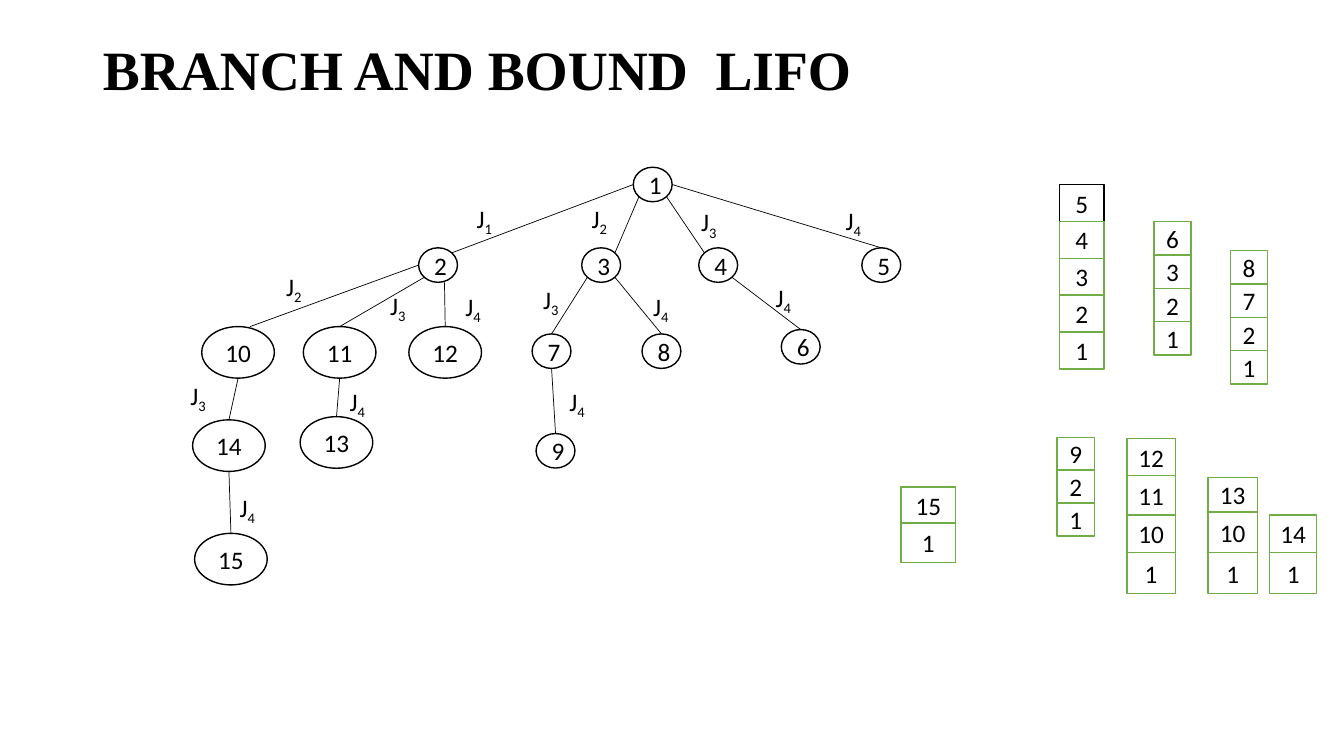
import pptx
import pptx.util
import pptx.dml.color
import pptx.enum.shapes
import pptx.enum.text
import pptx.oxml.ns
from dataclasses import dataclass
from lxml import etree

Cm = pptx.util.Cm
Pt = pptx.util.Pt
Kind = pptx.enum.shapes.MSO_SHAPE
Align = pptx.enum.text.PP_ALIGN


@dataclass
class Theme:
    ink: str = "000000"
    paper: str = "FFFFFF"
    green: str = "70AD47"
    head: str = "Times New Roman"
    body: str = "Calibri"
    title: float = 39.6
    text: float = 18
    edge: float = 1
    link: float = 0.5


class Deck:
    def __init__(self, theme):
        self.theme = theme
        self.prs = pptx.Presentation()
        self.prs.slide_width, self.prs.slide_height = Cm(33.87), Cm(19.05)
        self.slide = self.prs.slides.add_slide(self.prs.slide_layouts[5])
        self.shapes = self.slide.shapes

    def color(self, code):
        return pptx.dml.color.RGBColor.from_string(code)

    def run(self, para, text, size, face, bold=False):
        run = para.add_run()
        run.text = text
        run.font.size, run.font.name, run.font.bold = Pt(size), face, bold
        run.font.color.rgb = self.color(self.theme.ink)
        return run

    def title(self, text, x, y, w, h):
        box = self.shapes.title
        box.left, box.top, box.width, box.height = Cm(x), Cm(y), Cm(w), Cm(h)
        frame = box.text_frame
        frame.auto_size = pptx.enum.text.MSO_AUTO_SIZE.NONE
        frame.vertical_anchor = pptx.enum.text.MSO_ANCHOR.MIDDLE
        para = frame.paragraphs[0]
        para.alignment, para.line_spacing = Align.LEFT, 0.9
        self.run(para, text, self.theme.title, self.theme.head, True)

    def cell(self, kind, text, x, y, w, h, line):
        box = self.shapes.add_shape(kind, Cm(x), Cm(y), Cm(w), Cm(h))
        box.shadow.inherit = False
        box.fill.solid()
        box.fill.fore_color.rgb = self.color(self.theme.paper)
        box.line.color.rgb = self.color(line)
        box.line.width = Pt(self.theme.edge)
        para = box.text_frame.paragraphs[0]
        para.alignment = Align.CENTER
        self.run(para, text, self.theme.text, self.theme.body)

    def link(self, start, end):
        line = self.shapes.add_connector(
            pptx.enum.shapes.MSO_CONNECTOR.STRAIGHT,
            *(Cm(v) for v in start + end))
        line.line.color.rgb = self.color(self.theme.ink)
        line.line.width = Pt(self.theme.link)
        props = line._element.spPr
        etree.SubElement(props, pptx.oxml.ns.qn("a:effectLst"))

    def label(self, job, x, y):
        box = self.shapes.add_textbox(Cm(x), Cm(y), Cm(1.14), Cm(1.02))
        box.text_frame.word_wrap = True
        para = box.text_frame.paragraphs[0]
        self.run(para, "J", self.theme.text, self.theme.body)
        sub = self.run(para, str(job), self.theme.text, self.theme.body)
        sub.font._element.set("baseline", "-25000")


# Tree nodes: number -> centre; two-digit nodes are larger
NODES = {
    1: (16.45, 4.65),
    2: (11.04, 6.68), 3: (15.15, 6.68), 4: (18.1, 6.68), 5: (22.21, 6.68),
    6: (20.18, 8.74), 7: (13.9, 8.85), 8: (16.67, 8.85), 9: (14, 11.36),
    10: (6, 8.88), 11: (8.56, 8.88), 12: (11.22, 8.88),
    13: (8.48, 11.15), 14: (5.77, 11.23), 15: (5.82, 14.09),
}

# Points on a node's rim, in half widths and half heights
RIM = {
    "top": (0, -1), "low": (0, 1), "left": (-1, 0), "right": (1, 0),
    "nw": (-0.71, -0.71), "ne": (0.71, -0.71),
    "sw": (-0.71, 0.71), "se": (0.71, 0.71),
    "top+": (0.33, -1), "low+": (0.33, 1),
}

# Branches: parent, rim, child, rim, job, label left and top
LINKS = [
    (1, "left", 2, "ne", 1, 11.76, 5), (1, "sw", 3, "ne", 2, 14.66, 5),
    (1, "se", 4, "nw", 3, 17.42, 5.08), (1, "right", 5, "top", 4, 21.06, 5.05),
    (4, "se", 6, "top", 4, 19.3, 6.98), (3, "sw", 7, "top", 3, 13.44, 7.04),
    (3, "se", 8, "top", 4, 16.21, 7.21), (7, "low", 9, "top", 4, 14.1, 9.6),
    (2, "left", 10, "top+", 2, 6.96, 6.71), (2, "sw", 11, "top", 3, 9.58, 7.19),
    (2, "low+", 12, "top", 4, 11.48, 7.21), (11, "low", 13, "top", 4, 8.56, 9.6),
    (10, "low", 14, "top", 3, 4.55, 9.45), (14, "low", 15, "top", 4, 5.79, 12.27),
]

# Stacks: left, top, width, row heights, values
STACKS = [
    (26.7, 4.65, 1.12, [0.93] * 5, [5, 4, 3, 2, 1]),
    (29.08, 5.59, 0.94, [0.84] * 4, [6, 3, 2, 1]),
    (31.01, 6.32, 0.94, [0.84] * 4, [8, 7, 2, 1]),
    (26.64, 11.02, 0.94, [0.83] * 3, [9, 2, 1]),
    (28.4, 11.05, 1.22, [0.94, 0.99, 0.94, 1.04], [12, 11, 10, 1]),
    (30.44, 12.04, 1.25, [0.86, 1.02, 1.04], [13, 10, 1]),
    (32, 12.98, 1.18, [0.94, 1.04], [14, 1]),
    (22.71, 12.27, 1.37, [0.91, 0.99], [15, 1]),
]


def size(node):
    return (0.98, 0.87) if node < 10 else (1.83, 1.3)


def point(node, rim):
    return tuple(mid + part * full / 2 for mid, part, full
                 in zip(NODES[node], RIM[rim], size(node)))


def main():
    theme = Theme()
    deck = Deck(theme)
    deck.title("BRANCH AND BOUND  LIFO", 2.34, 1.02, 29.21, 1.63)

    # Search tree
    for node, (x, y) in NODES.items():
        w, h = size(node)
        deck.cell(Kind.OVAL, str(node), x - w / 2, y - h / 2, w, h, theme.ink)
    for parent, out, child, into, job, x, y in LINKS:
        deck.link(point(parent, out), point(child, into))
        deck.label(job, x, y)

    # Stack states; the first node popped has a black frame
    for x, y, w, rows, values in STACKS:
        for h, value in zip(rows, values):
            line = theme.ink if value == 5 else theme.green
            deck.cell(Kind.RECTANGLE, str(value), x, y, w, h, line)
            y += h

    deck.prs.save("out.pptx")


if __name__ == "__main__":
    main()
